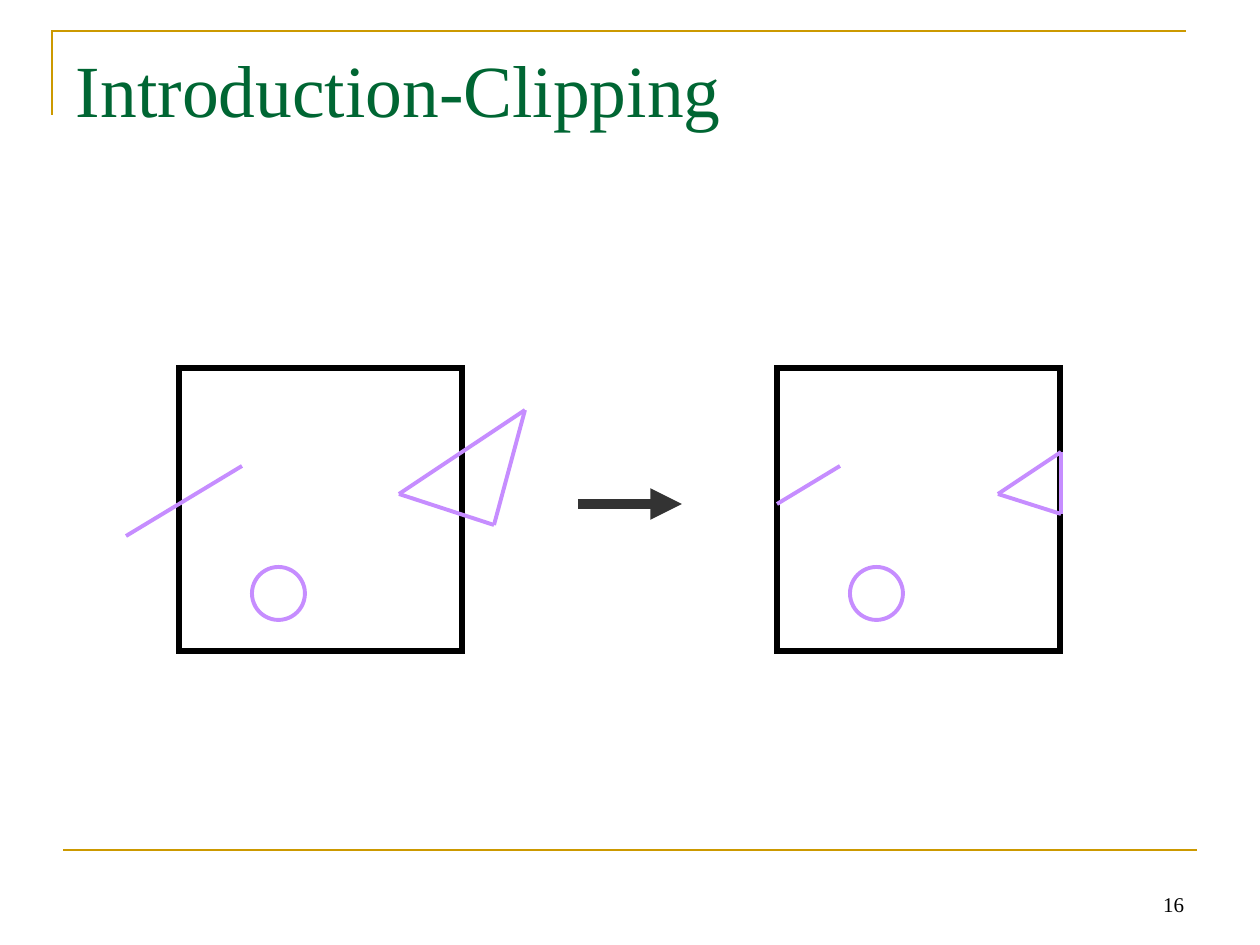
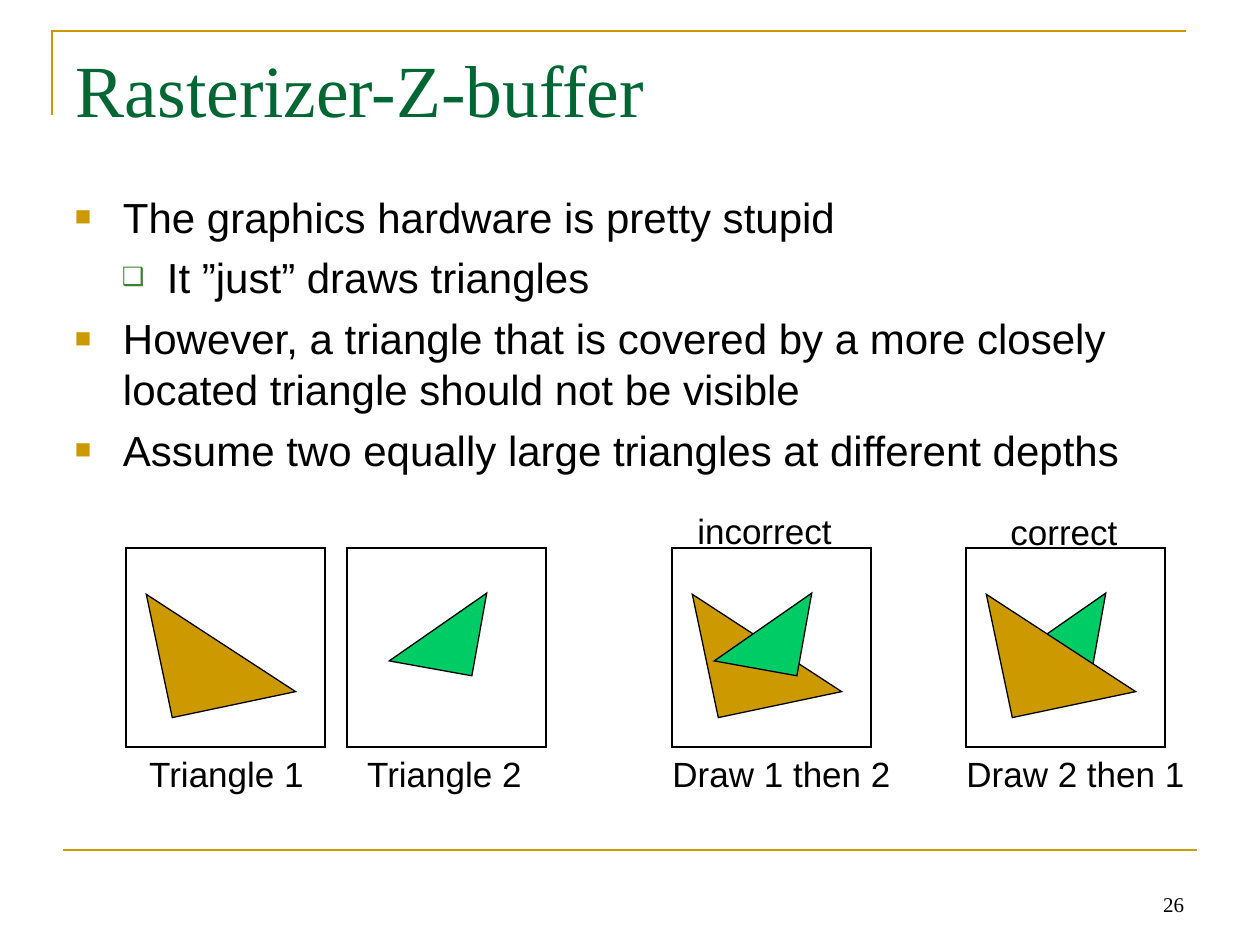
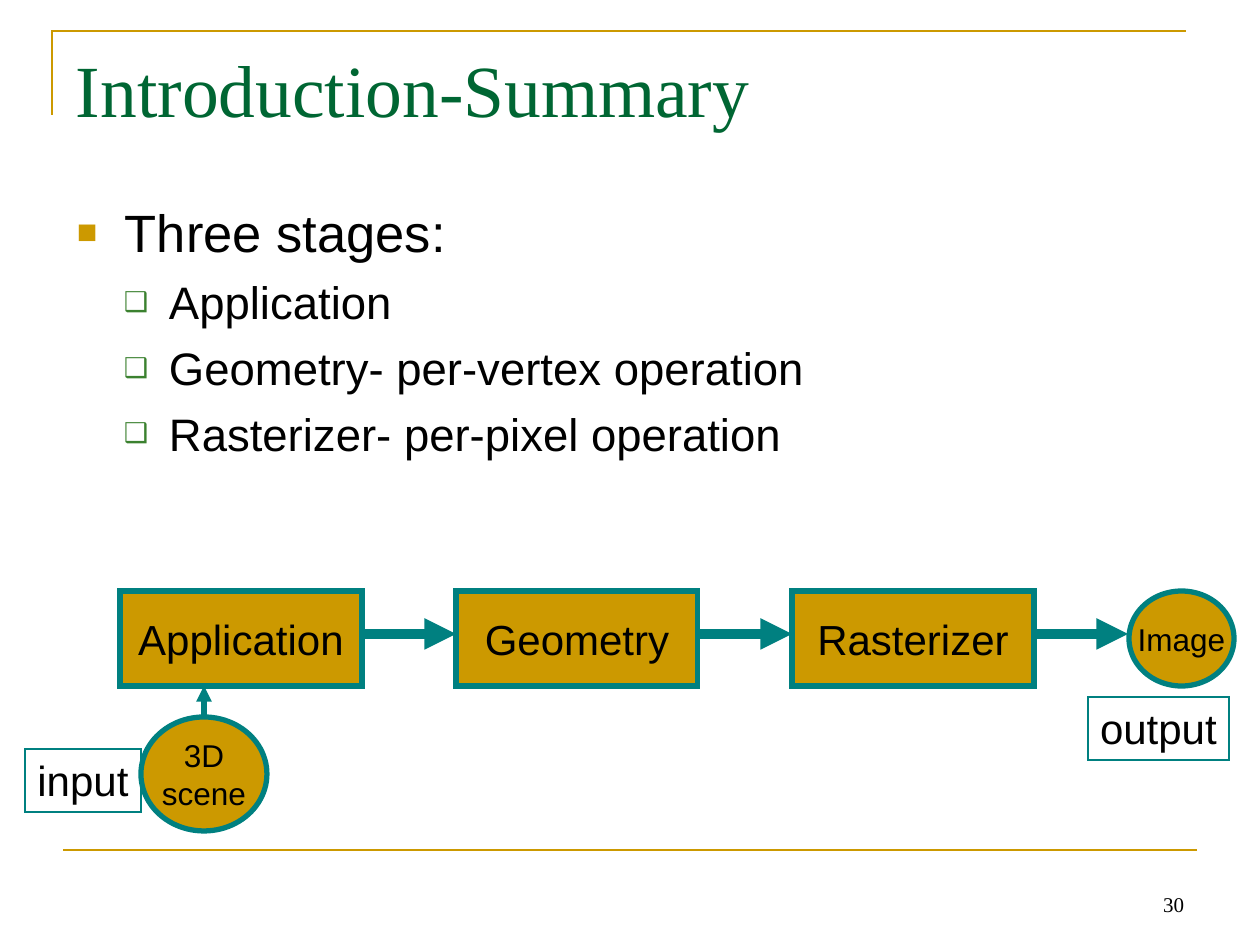
"""Build three slides on the graphics rendering pipeline."""
from lxml import etree
from pptx import Presentation
from pptx import util as u
from pptx.dml.color import RGBColor
from pptx.enum import shapes, text
from pptx.oxml import ns

PX = 914400 / 126
GOLD, GREEN, TEAL, BLACK = "CC9900", "006633", "008080", "000000"
LILAC, CHARCOAL, MINT, MOSS = "C68DFF", "333333", "00CC66", "3B812F"
RECTANGLE = shapes.MSO_SHAPE.RECTANGLE
OVAL = shapes.MSO_SHAPE.OVAL
RIGHT_TRIANGLE = shapes.MSO_SHAPE.RIGHT_TRIANGLE
LEFT, CENTER, RIGHT = text.PP_ALIGN.LEFT, text.PP_ALIGN.CENTER, text.PP_ALIGN.RIGHT
TOP, MIDDLE, BOTTOM = text.MSO_ANCHOR.TOP, text.MSO_ANCHOR.MIDDLE, text.MSO_ANCHOR.BOTTOM
BULLETS = (
    {"char": "■", "color": GOLD, "size": 65, "left": 48, "hang": 48},
    {"char": "❑", "color": MOSS, "size": 60, "left": 92, "hang": 45},
)


def px(length):
    """Turn pixels into EMU."""
    return u.Emu(round(length * PX))


def rgb(value):
    """Turn a hex string into a colour."""
    return RGBColor.from_string(value)


def apply(target, values):
    """Set every attribute of a dict on a target."""
    for name, value in values.items():
        setattr(target, name, value)


def add_xml(parent, tag, **attributes):
    """Append a DrawingML element to a parent."""
    return etree.SubElement(parent, ns.qn(tag), attributes)


def style_line(shape, color, width):
    """Set the colour and width of an outline, with sharp corners."""
    shape.line.color.rgb = rgb(color)
    shape.line.width = u.Pt(width)
    outline = shape._element.spPr.find(ns.qn("a:ln"))
    add_xml(outline, "a:miter", lim="800000")
    return outline


def write(paragraph, words, size, font="Arial", color=BLACK):
    """Put one formatted run in a paragraph."""
    run = paragraph.add_run()
    run.text = words
    apply(run.font, {"size": u.Pt(size), "name": font})
    run.font.color.rgb = rgb(color)


def set_frame(frame, wrap=False, anchor=TOP):
    """Set the wrapping, anchor and margins of a text frame."""
    side = px(13 if wrap else 0)
    apply(frame, {"word_wrap": wrap, "vertical_anchor": anchor,
                  "margin_left": side, "margin_right": side,
                  "margin_top": px(6), "margin_bottom": px(6)})


def fill_frame(frame, lines, size, align=CENTER, **font):
    """Write lines of text, one paragraph each."""
    for index, words in enumerate(lines):
        paragraph = frame.add_paragraph() if index else frame.paragraphs[0]
        paragraph.alignment = align
        write(paragraph, words, size, **font)


def add_label(slide, words, box, size=20, align=CENTER, wrap=False, anchor=TOP, **font):
    """Add a text box with one line of text."""
    label = slide.shapes.add_textbox(*map(px, box))
    set_frame(label.text_frame, wrap, anchor)
    fill_frame(label.text_frame, [words], size, align, **font)


def add_figure(slide, kind, box, line, width, fill=None, rotation=0):
    """Add a preset shape, hollow unless a fill is given."""
    shape = slide.shapes.add_shape(kind, *map(px, box))
    shape.shadow.inherit = False
    shape.rotation = rotation
    style_line(shape, line, width)
    if fill:
        shape.fill.solid()
        shape.fill.fore_color.rgb = rgb(fill)
    else:
        shape.fill.background()
    return shape


def add_node(slide, kind, box, lines, size, width=3, fill=GOLD, anchor=MIDDLE):
    """Add a teal outlined shape with centred text."""
    shape = add_figure(slide, kind, box, TEAL, width, fill)
    set_frame(shape.text_frame, anchor=anchor)
    fill_frame(shape.text_frame, lines, size)


def add_line(slide, start, end, color, width, arrow=False):
    """Add a straight line, with an arrowhead if asked."""
    line = slide.shapes.add_connector(shapes.MSO_CONNECTOR.STRAIGHT, *map(px, (*start, *end)))
    outline = style_line(line, color, width)
    if arrow:
        add_xml(outline, "a:tailEnd", type="triangle")
    add_xml(line._element.spPr, "a:effectLst")


def add_bullets(slide, items, box, sizes, spaces):
    """Add a bulleted list of (level, words) items."""
    body = slide.shapes.add_textbox(*map(px, box))
    frame = body.text_frame
    set_frame(frame, wrap=True)
    for index, (level, words) in enumerate(items):
        paragraph = frame.add_paragraph() if index else frame.paragraphs[0]
        bullet = BULLETS[level]
        properties = paragraph._p.get_or_add_pPr()
        properties.set("marL", str(px(bullet["left"])))
        properties.set("indent", str(-px(bullet["hang"])))
        add_xml(add_xml(properties, "a:buClr"), "a:srgbClr", val=bullet["color"])
        add_xml(properties, "a:buSzPct", val=str(bullet["size"] * 1000))
        add_xml(properties, "a:buFont", typeface="Arial")
        add_xml(properties, "a:buChar", char=bullet["char"])
        paragraph.level = level
        if index:
            paragraph.space_before = u.Pt(spaces[level])
        write(paragraph, words, sizes[level])


def add_page(presentation, title, number):
    """Add a slide with the shared frame, title and page number."""
    slide = presentation.slides.add_slide(presentation.slide_layouts[6])
    builder = slide.shapes.build_freeform(52, 115, scale=PX)
    builder.add_line_segments([(52, 31), (1186, 31)], close=False)
    corner = builder.convert_to_shape()
    corner.shadow.inherit = False
    corner.fill.background()
    style_line(corner, GOLD, 1.5)
    add_line(slide, (63, 850), (1197, 850), GOLD, 1.5)
    add_label(slide, str(number), (903, 860, 294, 63), 12, RIGHT, True, BOTTOM,
              font="Times New Roman")
    add_label(slide, title, (63, 38, 1134, 158), 42, LEFT, True,
              font="Times New Roman", color=GREEN)
    return slide


def add_clip_window(slide, left, segment, triangle):
    """Add a window with a line, a circle and a triangle."""
    add_figure(slide, RECTANGLE, (left, 368, 283, 283), BLACK, 3)
    add_figure(slide, OVAL, (left + 73, 567, 53, 53), LILAC, 2.25)
    edges = zip(triangle, triangle[1:] + triangle[:1])
    for start, end in [segment, *edges]:
        add_line(slide, start, end, LILAC, 2.25)


def add_triangle(slide, left, name):
    """Add triangle 1 or 2 in the panel that starts at left."""
    offset, top, size, fill, rotation = {
        1: (32, 580, 126, GOLD, 348.1),
        2: (49, 585, 84, MINT, 280.2),
    }[name]
    add_figure(slide, RIGHT_TRIANGLE, (left + offset, top, size, size),
               BLACK, 0.75, fill, rotation)


def build_clipping(presentation):
    """Build the slide on clipping."""
    slide = add_page(presentation, "Introduction-Clipping", 16)
    add_clip_window(slide, 179, ((242, 466), (126, 536)), [(399, 494), (525, 410), (494, 525)])
    add_line(slide, (578, 504), (682, 504), CHARCOAL, 6, arrow=True)
    add_clip_window(slide, 777, ((840, 466), (777, 504)), [(998, 494), (1061, 452), (1061, 514)])


def build_z_buffer(presentation):
    """Build the slide on the Z-buffer."""
    slide = add_page(presentation, "Rasterizer-Z-buffer", 26)
    items = [
        (0, "The graphics hardware is pretty stupid"),
        (1, "It ”just” draws triangles"),
        (0, "However, a triangle that is covered by a more closely located triangle "
            "should not be visible"),
        (0, "Assume two equally large triangles at different depths"),
    ]
    add_bullets(slide, items, (62, 185, 1134, 625), (24, 24), (6, 6))
    panels = [
        (126, (1,), "Triangle 1", 136, 181),
        (347, (2,), "Triangle 2", 354, 181),
        (672, (1, 2), "Draw 1 then 2", 660, 243),
        (966, (2, 1), "Draw 2 then 1", 954, 243),
    ]
    for left, order, caption, caption_left, caption_width in panels:
        for name in order:
            add_triangle(slide, left, name)
        add_figure(slide, RECTANGLE, (left, 548, 199, 199), BLACK, 0.75)
        add_label(slide, caption, (caption_left, 746, caption_width, 55))
    add_label(slide, "incorrect", (685, 503, 159, 55))
    add_label(slide, "correct", (998, 504, 132, 55))


def build_summary(presentation):
    """Build the slide that sums up the three stages."""
    slide = add_page(presentation, "Introduction-Summary", 30)
    items = [
        (0, "Three stages:"),
        (1, "Application"),
        (1, "Geometry- per-vertex operation"),
        (1, "Rasterizer- per-pixel operation"),
    ]
    add_bullets(slide, items, (64, 194, 1134, 624), (30, 26), (7.5, 6.5))
    for index, stage in enumerate(("Application", "Geometry", "Rasterizer")):
        left = 120 + 336 * index
        add_node(slide, RECTANGLE, (left, 591, 242, 95), [stage], 24)
        add_line(slide, (left + 242, 634), (left + 336, 634), TEAL, 6, arrow=True)
    add_node(slide, OVAL, (141, 717, 126, 114), ["3D", "scene"], 18)
    add_line(slide, (204, 717), (204, 686), TEAL, 3, arrow=True)
    add_node(slide, OVAL, (1129, 591, 105, 95), ["Image"], 18)
    for words, box in (("input", (25, 749, 116, 63)), ("output", (1088, 697, 141, 63))):
        add_node(slide, RECTANGLE, box, [words], 24, 0.75, None, TOP)


def main():
    """Build and save the presentation."""
    presentation = Presentation()
    apply(presentation, {"slide_width": px(1260), "slide_height": px(945)})
    build_clipping(presentation)
    build_z_buffer(presentation)
    build_summary(presentation)
    presentation.save("out.pptx")


if __name__ == "__main__":
    main()
